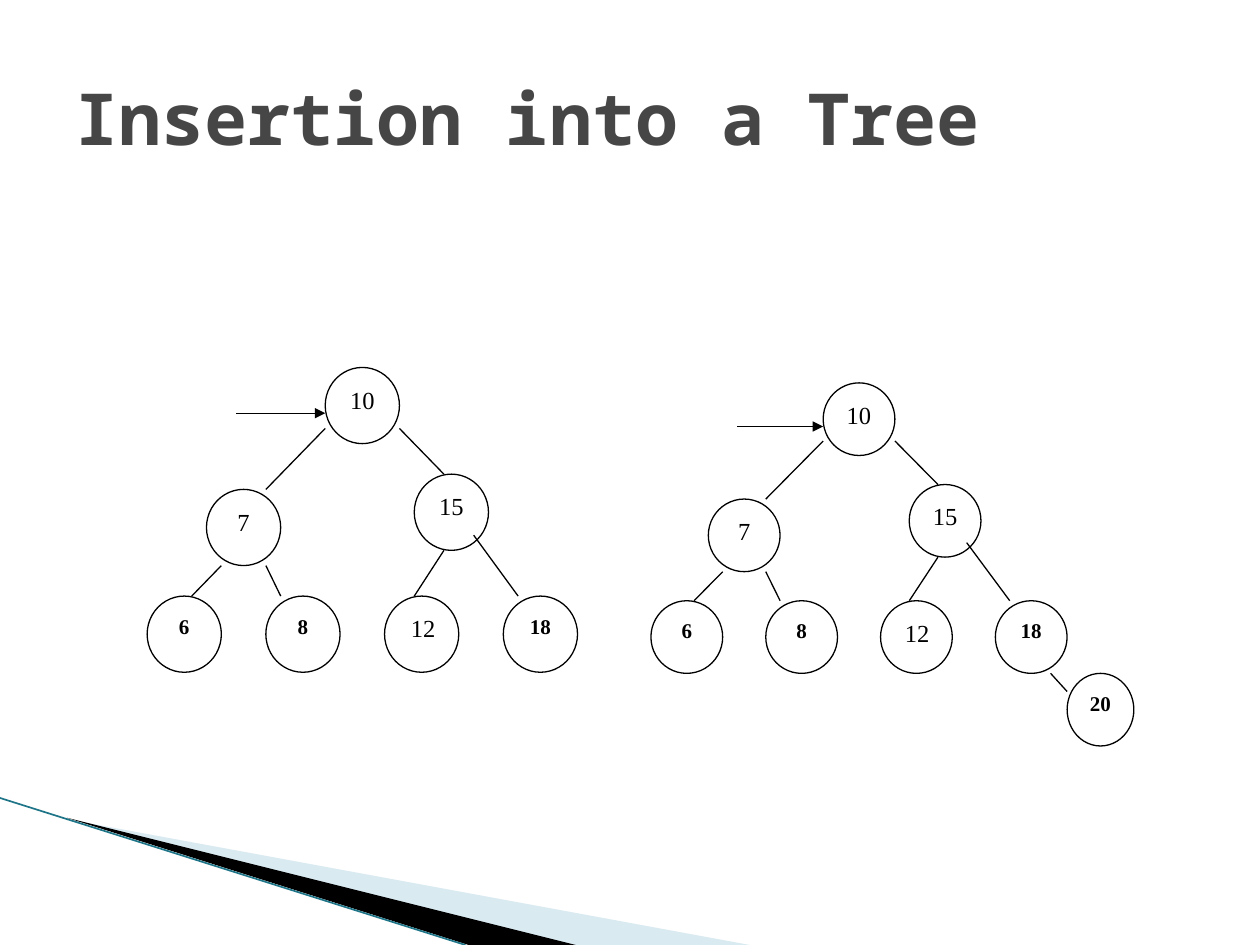
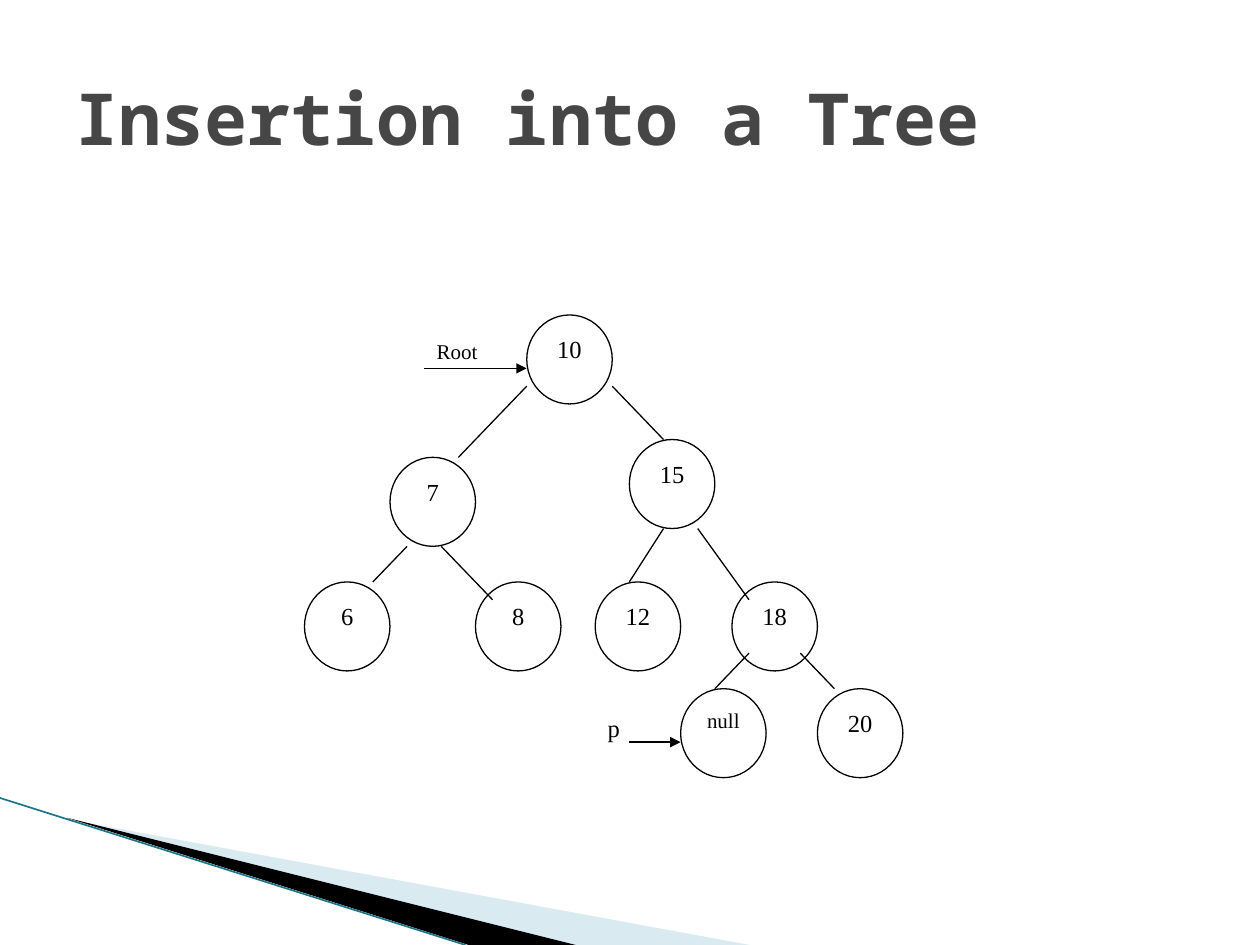
from dataclasses import dataclass
from typing import Any, NamedTuple

from pptx import Presentation
from pptx.dml.color import RGBColor as Rgb
from pptx.enum.shapes import MSO_CONNECTOR as Conn, MSO_SHAPE as Kind
from pptx.enum.text import MSO_ANCHOR as Anchor, PP_ALIGN as Align
from pptx.oxml.ns import qn
from pptx.util import Pt
from lxml.etree import SubElement as Sub

BLACK, WHITE, GREY, PALE, TEAL = "000000", "FFFFFF", "464646", "A0CBDC", "1F7588"
SERIF, MONO = "Times New Roman", "Noto Sans Mono"


class Node(NamedTuple):
    text: str
    col: float
    row: float
    size: float = 14
    bold: bool = False
    align: Any = Align.CENTER
    wide: float = 5


class Edge(NamedTuple):
    x1: float
    y1: float
    x2: float
    y2: float
    arrow: bool = False


class Label(NamedTuple):
    text: str
    col: float
    row: float
    high: float
    size: float


class Wedge(NamedTuple):
    points: list[tuple[float, float]]
    fill: str
    alpha: int


@dataclass
class Tree:
    left: float
    top: float
    dx: float
    dy: float
    nodes: list[Node]
    edges: list[Edge]
    labels: tuple[Label, ...] = ()

    def at(self, col: float, row: float) -> tuple[int, int]:
        return Pt(self.left + col * self.dx), Pt(self.top + row * self.dy)

    def span(self, wide: float, high: float) -> tuple[int, int]:
        return Pt(wide * self.dx), Pt(high * self.dy)


WEDGES = [
    Wedge([(39.6, 468.4), (428.4, 540), (328.3, 540)], PALE, 40),
    Wedge([(38.2, 467.3), (329, 540), (267.8, 540)], BLACK, 100),
]
NODES = [
    Node("10", 12, 0),
    Node("15", 18, 7),
    Node("7", 4, 8),
    Node("6", 0, 15, 12, True),
    Node("8", 8, 15, 12, True),
    Node("12", 16, 15, align=Align.RIGHT),
    Node("18", 24, 15, 12, True),
]
EDGES = [
    Edge(6, 3, 12, 3, True),
    Edge(17, 4, 20, 7),
    Edge(12, 4, 8, 8),
    Edge(20, 12, 18, 15),
    Edge(8, 13, 9, 15),
    Edge(22, 11, 25, 15),
    Edge(5, 13, 3, 15),
]
BEFORE = Tree(84.1, 210, 8.48, 8.71, NODES, EDGES)
AFTER = Tree(
    372, 218.8, 8.2, 8.3,
    NODES + [Node("20", 29, 20, 12, True, wide=4.65)],
    EDGES + [Edge(27.85, 20, 29, 21.25)],
)
FINAL = Tree(
    174, 180, 9.77, 10.17,
    [
        Node("10", 13, 0),
        Node("15", 19, 7),
        Node("7", 5, 8),
        Node("6", 0, 15),
        Node("8", 10, 15),
        Node("12", 17, 15),
        Node("18", 25, 15),
        Node("null", 22, 21, 12),
        Node("20", 30, 21),
    ],
    [
        Edge(7, 3, 13, 3, True),
        Edge(18, 4, 21, 7),
        Edge(13, 4, 9, 8),
        Edge(21, 12, 19, 15),
        Edge(6, 13, 4, 15),
        Edge(8, 13, 11, 16),
        Edge(23, 12, 26, 16),
        Edge(29, 19, 31, 21),
        Edge(26, 19, 24, 21),
        Edge(19, 24, 22, 24, True),
    ],
    (Label("Root", 7, 1, 2, 12), Label("p", 17, 22, 3, 14)),
)


def tint(form: Any, color: str) -> None:
    form.fill.solid()
    form.fill.fore_color.rgb = Rgb.from_string(color)


def write(frame: Any, text: str, face: str, size: float, color: str,
          bold: bool = False, align: Any = Align.LEFT) -> None:
    frame.word_wrap = True
    para = frame.paragraphs[0]
    para.alignment = align
    run = para.add_run()
    run.text = text
    font = run.font
    font.name, font.size, font.bold = face, Pt(size), bold
    font.color.rgb = Rgb.from_string(color)


def stroke(shapes: Any, start: tuple[int, int], end: tuple[int, int],
           color: str, width: float, arrow: bool = False) -> Any:
    line = shapes.add_connector(Conn.STRAIGHT, *start, *end)
    line.line.width = Pt(width)
    tint(line.line, color)
    if arrow:
        Sub(line.line._get_or_add_ln(), qn("a:tailEnd"), type="triangle")
    Sub(line.element.spPr, qn("a:effectLst"))
    return line


def draw_wedge(shapes: Any, wedge: Wedge) -> Any:
    first, *rest = [(Pt(x), Pt(y)) for x, y in wedge.points]
    form = shapes.build_freeform(*first)
    form.add_line_segments(rest)
    shape = form.convert_to_shape()
    shape.shadow.inherit = False
    tint(shape, wedge.fill)
    shape.line.fill.background()
    if wedge.alpha < 100:
        color = shape.element.spPr.find(f"{qn('a:solidFill')}/{qn('a:srgbClr')}")
        Sub(color, qn("a:alpha"), val=str(wedge.alpha * 1000))
    return shape


def dress(layout: Any, slide: Any) -> None:
    parts = [draw_wedge(slide.shapes, wedge) for wedge in WEDGES]
    parts.append(stroke(slide.shapes, (0, Pt(456)), (Pt(266), Pt(540)), TEAL, 0.95))
    for place, part in enumerate(parts):
        part.element.xpath(".//p:cNvPr")[0].set("id", str(100 + place))
        layout.shapes.element.insert(2 + place, part.element)


def draw_tree(slide: Any, tree: Tree) -> None:
    shapes = slide.shapes.add_group_shape().shapes
    for label in tree.labels:
        box = shapes.add_shape(Kind.RECTANGLE, *tree.at(label.col, label.row),
                               *tree.span(5, label.high))
        box.shadow.inherit = False
        tint(box, WHITE)
        box.line.fill.background()
        box.text_frame.vertical_anchor = Anchor.TOP
        write(box.text_frame, label.text, SERIF, label.size, BLACK)
    for node in tree.nodes:
        disc = shapes.add_shape(Kind.OVAL, *tree.at(node.col, node.row),
                                *tree.span(node.wide, 5))
        disc.shadow.inherit = False
        tint(disc, WHITE)
        tint(disc.line, BLACK)
        disc.line.width = Pt(0.75)
        disc.text_frame.vertical_anchor = Anchor.TOP
        write(disc.text_frame, node.text, SERIF, node.size, BLACK, node.bold, node.align)
    for edge in tree.edges:
        stroke(shapes, tree.at(edge.x1, edge.y1), tree.at(edge.x2, edge.y2),
               BLACK, 0.75, edge.arrow)


def add_slide(deck: Any, layout: Any, trees: list[Tree]) -> Any:
    slide = deck.slides.add_slide(layout)
    title = slide.shapes.title
    title.left, title.top, title.width, title.height = Pt(36), Pt(21.6), Pt(648), Pt(90)
    title.text_frame.vertical_anchor = Anchor.MIDDLE
    write(title.text_frame, "Insertion into a Tree", MONO, 41, GREY, True)
    for tree in trees:
        draw_tree(slide, tree)
    return slide


def main() -> None:
    deck = Presentation()
    deck.slide_width, deck.slide_height = Pt(720), Pt(540)
    layout = deck.slide_layouts[5]
    first = add_slide(deck, layout, [BEFORE, AFTER])
    dress(layout, first)
    add_slide(deck, layout, [FINAL])
    deck.save("out.pptx")


if __name__ == "__main__":
    main()
